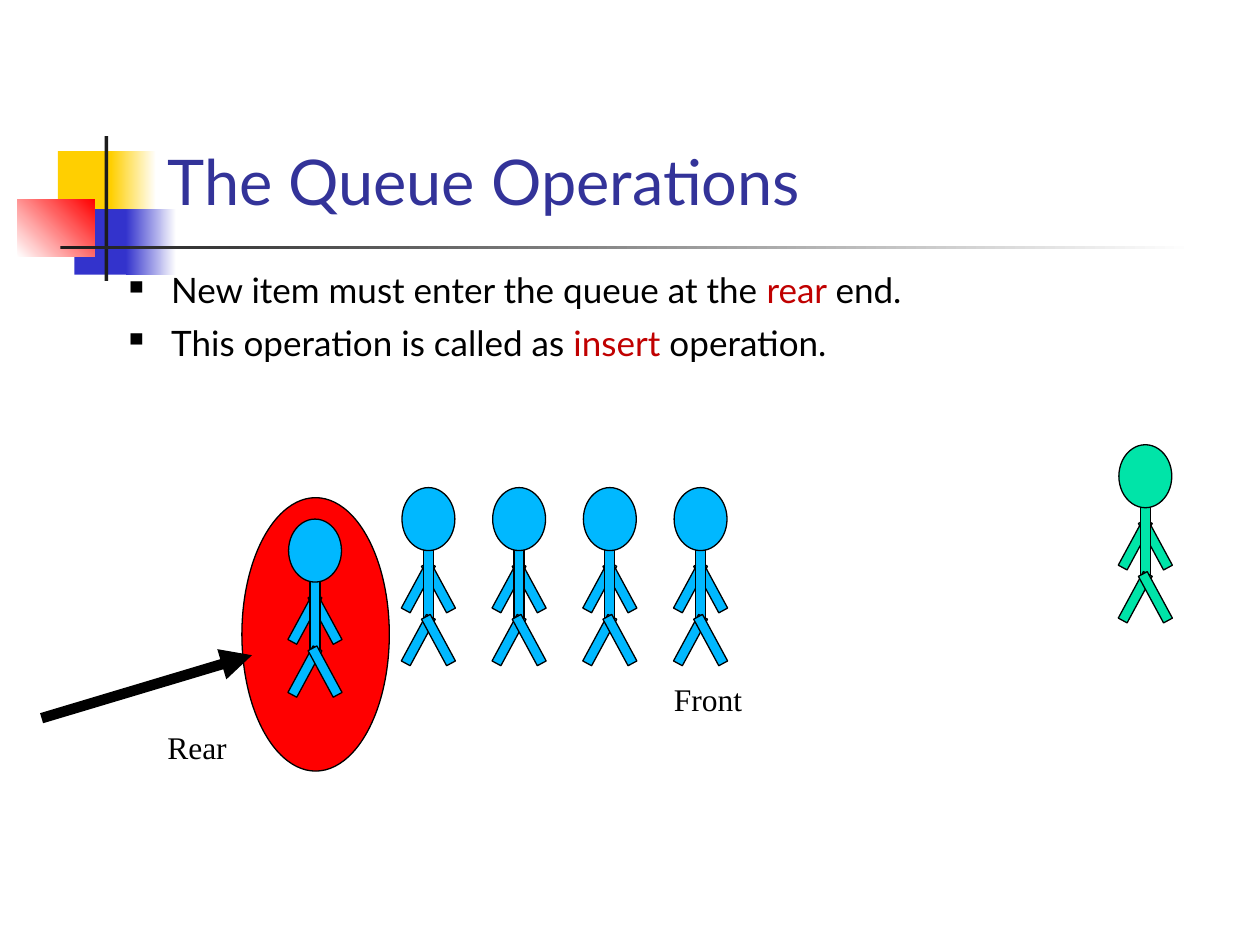
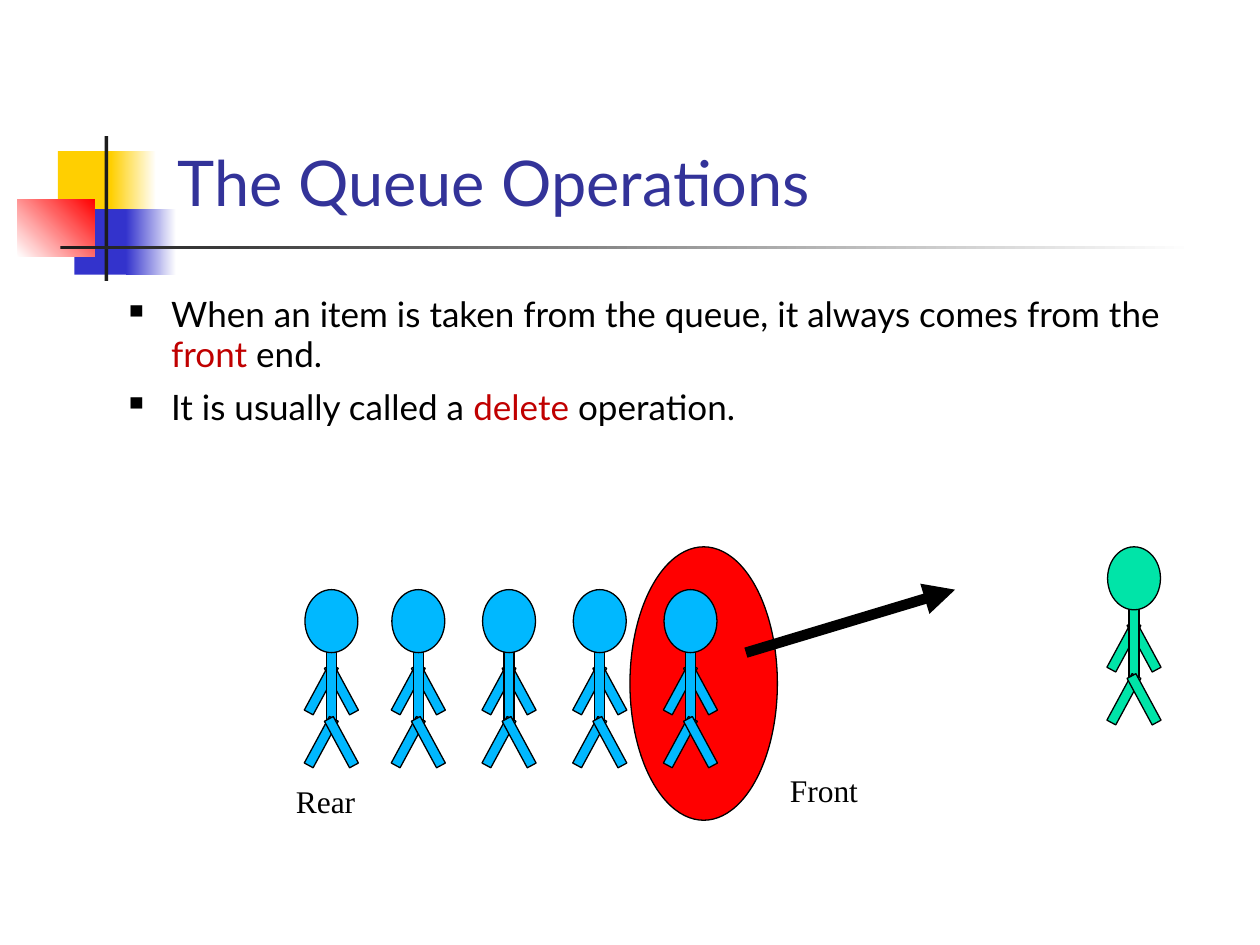
from lxml import etree
from pptx import Presentation
from pptx.dml.color import RGBColor
from pptx.enum import shapes, text
from pptx.oxml import ns
from pptx.util import Inches, Pt

BLACK = RGBColor(0, 0, 0)
WHITE = RGBColor(255, 255, 255)
INK = RGBColor(0x1C, 0x1C, 0x1C)
GOLD = RGBColor(0xFF, 0xCF, 0x01)
BLUE = RGBColor(0x33, 0x33, 0xCC)
NAVY = RGBColor(0x33, 0x33, 0x99)
RED = RGBColor(255, 0, 0)
CRIMSON = RGBColor(0xC0, 0, 0)
SKY = RGBColor(0, 0xB8, 0xFF)
GREEN = RGBColor(0, 0xE4, 0xA8)

SANS = "Lato"
SERIF = "Times New Roman"
RECT = shapes.MSO_SHAPE.RECTANGLE
OVAL = shapes.MSO_SHAPE.OVAL
LEAN = 28.4
STEP = 0.72


def add_form(parent, kind, box, fill=None, edge=None):
    form = parent.shapes.add_shape(kind, *map(Inches, box))
    form.shadow.inherit = False
    if fill is not None:
        form.fill.solid()
        form.fill.fore_color.rgb = fill
    if edge is None:
        form.line.fill.background()
    else:
        form.line.color.rgb = edge
        form.line.width = Pt(0.75)
    return form


def add_fade(slide, box, start, end, angle=0):
    fill = add_form(slide, RECT, box).fill
    fill.gradient()
    fill.gradient_angle = angle
    for stop, color in zip(fill.gradient_stops, (start, end)):
        stop.color.rgb = color


def add_motif(slide):
    add_form(slide, RECT, (0.46, 1.2, 0.48, 0.52), GOLD)
    add_fade(slide, (0.88, 1.2, 0.36, 0.52), GOLD, WHITE)
    add_form(slide, RECT, (0.59, 1.66, 0.46, 0.52), BLUE)
    add_fade(slide, (1, 1.66, 0.4, 0.52), BLUE, WHITE)
    add_fade(slide, (0.14, 1.58, 0.61, 0.46), WHITE, RED, 45)
    add_form(slide, RECT, (0.83, 1.08, 0.03, 1.15), INK)
    add_fade(slide, (0.48, 1.95, 9, 0.03), INK, WHITE)


def style(run, font, size, color):
    run.font.name = font
    run.font.size = Pt(size)
    run.font.color.rgb = color


def add_text(slide, box, words, font, size, color, wrap=True):
    frame = slide.shapes.add_textbox(*map(Inches, box)).text_frame
    frame.word_wrap = wrap
    frame.text = words
    line = frame.paragraphs[0]
    line.line_spacing = 0.95
    style(line.runs[0], font, size, color)
    return frame


def add_title(slide, box):
    frame = add_text(slide, box, "The Queue Operations", SANS, 36, NAVY)
    frame.vertical_anchor = text.MSO_ANCHOR.MIDDLE


def add_label(slide, words, left, top):
    add_text(slide, (left, top, 0.74, 0.38), words, SERIF, 18, BLACK, False)


def add_points(slide, box, points):
    frame = slide.shapes.add_textbox(*map(Inches, box)).text_frame
    frame.word_wrap = True
    for index, parts in enumerate(points):
        line = frame.add_paragraph() if index else frame.paragraphs[0]
        props = line._p.get_or_add_pPr()
        props.set("marL", str(Inches(0.38)))
        props.set("indent", str(-Inches(0.38)))
        etree.SubElement(props, ns.qn("a:buChar")).set("char", "▪")
        line.line_spacing = 0.95
        if index:
            line.space_before = Pt(7)
        for words, color in zip(parts, (BLACK, CRIMSON, BLACK)):
            run = line.add_run()
            run.text = words
            style(run, SANS, 20, color)


def add_person(slide, left, top, color):
    group = slide.shapes.add_group_shape()

    def add_limbs(drop):
        for shift, turn in ((0.09, LEAN), (0.25, -LEAN)):
            box = (left + shift, top + drop, 0.08, 0.42)
            add_form(group, RECT, box, color, BLACK).rotation = turn

    add_limbs(0.58)
    add_form(group, RECT, (left + 0.17, top + 0.41, 0.08, 0.67), color, BLACK)
    add_form(group, OVAL, (left, top, 0.42, 0.5), color, BLACK)
    add_limbs(1)


def add_row(slide, left, top):
    for place in range(4):
        add_person(slide, left + place * STEP, top, SKY)


def add_spot(slide, left, top):
    add_form(slide, OVAL, (left, top, 1.17, 2.17), RED, BLACK)


def add_arrow(slide, *ends):
    arrow = slide.shapes.add_connector(
        shapes.MSO_CONNECTOR.STRAIGHT, *map(Inches, ends))
    arrow.line.color.rgb = BLACK
    arrow.line.width = Pt(6)
    tip = etree.SubElement(arrow.line._get_or_add_ln(), ns.qn("a:tailEnd"))
    tip.set("type", "triangle")
    etree.SubElement(arrow._element.spPr, ns.qn("a:effectLst"))


def add_slide(deck):
    slide = deck.slides.add_slide(deck.slide_layouts[6])
    add_motif(slide)
    return slide


def show_insert(deck):
    slide = add_slide(deck)
    add_spot(slide, 1.92, 3.95)
    add_title(slide, (1.23, 0.98, 8.29, 0.96))
    add_points(slide, (0.88, 2.11, 8.42, 1.25), (
        ("New item must enter the queue at the ", "rear ", "end."),
        ("This operation is called as ", "insert ", "operation.")))
    add_row(slide, 3.19, 3.87)
    add_person(slide, 8.88, 3.53, GREEN)
    add_person(slide, 2.29, 4.12, SKY)
    add_arrow(slide, 0.33, 5.7, 2, 5.2)
    add_label(slide, "Front", 5.25, 5.37)
    add_label(slide, "Rear", 1.23, 5.75)


def show_delete(deck):
    slide = add_slide(deck)
    add_spot(slide, 5, 4.34)
    add_title(slide, (1.31, 0.95, 8.36, 1.04))
    add_points(slide, (0.88, 2.3, 8.71, 1.2), (
        ("When an item is taken from the queue, it always comes from the ",
         "front ", "end."),
        ("It is usually called a ", "delete", " operation.")))
    add_row(slide, 3.11, 4.68)
    add_person(slide, 8.79, 4.34, GREEN)
    add_person(slide, 2.42, 4.68, SKY)
    add_label(slide, "Front", 6.17, 6.09)
    add_label(slide, "Rear", 2.25, 6.18)
    add_arrow(slide, 5.92, 5.18, 7.58, 4.68)


def main():
    deck = Presentation()
    deck.slide_width = Inches(10)
    deck.slide_height = Inches(7.5)
    show_insert(deck)
    show_delete(deck)
    deck.save("out.pptx")


if __name__ == "__main__":
    main()
